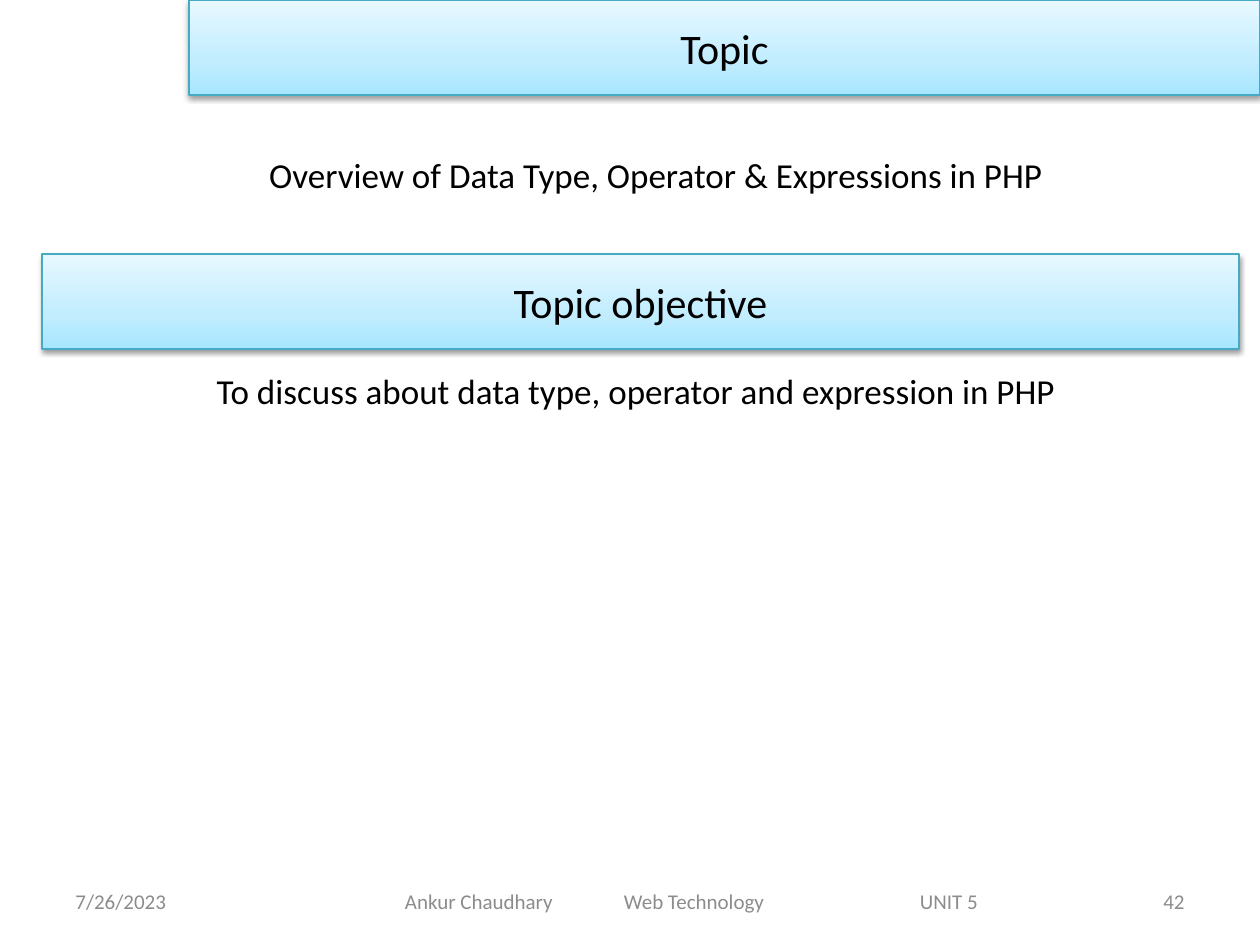
from copy import deepcopy

from lxml import etree
from pptx import Presentation
from pptx import util as u
from pptx.dml.color import RGBColor
from pptx.enum import shapes, text
from pptx.oxml import ns

PX = 914400 // 126
FONT = "Calibri"
BLACK = RGBColor(0, 0, 0)
GREY = RGBColor(0x8C, 0x8C, 0x8C)
TEAL = RGBColor(0x46, 0xAA, 0xC5)
GRADIENT = (
    (0, RGBColor(0xA7, 0xE6, 0xFF)),
    (0.35, RGBColor(0xC1, 0xED, 0xFF)),
    (1, RGBColor(0xE7, 0xF8, 0xFF)),
)
LEFT, CENTER, RIGHT = text.PP_ALIGN.LEFT, text.PP_ALIGN.CENTER, text.PP_ALIGN.RIGHT
TOP, MIDDLE = text.MSO_ANCHOR.TOP, text.MSO_ANCHOR.MIDDLE


def px(*lengths):
    return [n * PX for n in lengths]


def add_xml(parent, tag, **attributes):
    return etree.SubElement(parent, ns.qn(tag), attributes)


def write(sp, words, size=20, color=BLACK, align=CENTER, anchor=TOP, tabs=()):
    tf = sp.text_frame
    tf.word_wrap = True
    tf.vertical_anchor = anchor
    p = tf.paragraphs[0]
    p.alignment = align
    if tabs:
        tab_list = add_xml(p._p.get_or_add_pPr(), "a:tabLst")
        for position in px(*tabs):
            add_xml(tab_list, "a:tab", pos=str(position), algn="l")
    r = p.add_run()
    r.text = words
    r.font.name = FONT
    r.font.size = u.Pt(size)
    r.font.color.rgb = color


def add_text(s, words, box, **style):
    sp = s.shapes.add_textbox(*px(*box))
    write(sp, words, **style)
    return sp


def fill_gradient(sp):
    sp.fill.gradient()
    sp.fill.gradient_angle = 90
    stop_list = sp._element.spPr.find(".//" + ns.qn("a:gsLst"))
    stop_list.append(deepcopy(stop_list[0]))
    for stop, (position, color) in zip(sp.fill.gradient_stops, GRADIENT):
        stop.position = position
        stop.color.rgb = color


def cast_shadow(sp):
    sp.shadow.inherit = False
    effects = sp._element.spPr.find(ns.qn("a:effectLst"))
    shadow = add_xml(effects, "a:outerShdw", blurRad="40000", dist="20000",
                     dir="5400000", rotWithShape="0")
    color = add_xml(shadow, "a:srgbClr", val="000000")
    add_xml(color, "a:alpha", val="38000")


def format_banner(sp, words, box):
    sp.left, sp.top, sp.width, sp.height = px(*box)
    fill_gradient(sp)
    sp.line.color.rgb = TEAL
    sp.line.width = u.Pt(0.75)
    cast_shadow(sp)
    write(sp, words, size=24, anchor=MIDDLE)


def add_banner(s, words, box):
    sp = s.shapes.add_shape(shapes.MSO_SHAPE.RECTANGLE, *px(*box))
    format_banner(sp, words, box)


def add_footer(s):
    style = dict(size=12, color=GREY, anchor=MIDDLE)
    top, height = 876, 50
    add_text(s, "7/26/2023", (63, top, 294, height), align=LEFT, **style)
    sp = add_text(s, "Ankur Chaudhary\tWeb Technology\tUNIT 5",
                  (346, top, 693, height), align=LEFT, tabs=(219, 515), **style)
    sp.text_frame.margin_left = 59 * PX
    add_text(s, "42", (903, top, 294, height), align=RIGHT, **style)


def main():
    prs = Presentation()
    prs.slide_width, prs.slide_height = u.Inches(10), u.Inches(7.5)
    s = prs.slides.add_slide(prs.slide_layouts[5])
    format_banner(s.shapes.title, "Topic", (189, 0, 1071, 95))
    add_text(s, "Overview of Data Type, Operator & Expressions in PHP",
             (220, 147, 872, 55))
    add_banner(s, "Topic objective", (42, 254, 1197, 95))
    add_text(s, "To discuss about data type, operator and expression in PHP",
             (69, 363, 1134, 393))
    add_footer(s)
    prs.save("out.pptx")


if __name__ == "__main__":
    main()
